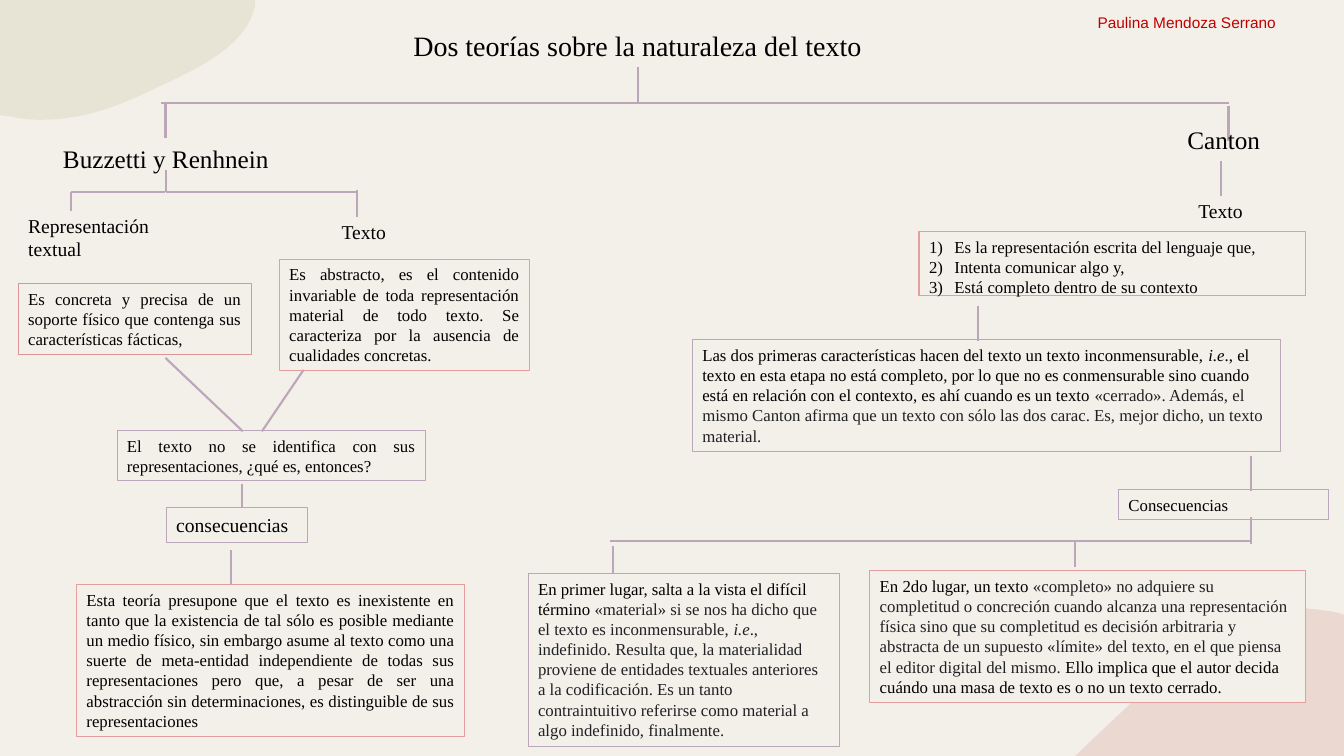
from dataclasses import dataclass
from typing import NamedTuple

from lxml import etree
from pptx import Presentation
from pptx import util as u
from pptx.dml import color as c
from pptx.enum import shapes as s
from pptx.enum import text as t
from pptx.oxml import ns
from pptx.shapes import autoshape as auto
from pptx.text import text as txt

COLORS = {
    "paper": "F3F0E9", "mauve": "BCA6B9", "rose": "E59E9E", "dusty": "D99696",
    "black": "000000", "ink": "202124", "red": "C00000",
    "blush": "E5C4BA", "olive": "DCD9C3",
}
LEFT, CENTER, JUSTIFY = t.PP_ALIGN.LEFT, t.PP_ALIGN.CENTER, t.PP_ALIGN.JUSTIFY
SERIF = "Times New Roman"


class Piece(NamedTuple):
    """A stretch of text in one style."""
    words: str
    color: str = "black"
    italic: bool = False


@dataclass
class Note:
    """A block of text, outlined when it has a border colour."""
    box: tuple[float, float, float, float]
    pieces: list[Piece]
    size: float = 12
    align: t.PP_ALIGN = LEFT
    border: str | None = None
    fill: str | None = None
    font: str = SERIF


class Blob(NamedTuple):
    """A soft corner outline; segments hold one point (line) or three (curve)."""
    color: str
    start: tuple[float, float]
    segments: list[list[tuple[float, float]]]


def rgb(name: str) -> c.RGBColor:
    """Look up a palette colour."""
    return c.RGBColor.from_string(COLORS[name])


def place(shape: auto.Shape, box: tuple[float, float, float, float]) -> None:
    """Move and size a shape, in centimetres."""
    shape.left, shape.top, shape.width, shape.height = map(u.Cm, box)


def outline(shape: auto.Shape, color: str) -> None:
    """Give a box its thin border."""
    shape.line.color.rgb = rgb(color)
    shape.line.width = u.Pt(0.75)


def write(paragraph: txt._Paragraph, note: Note, pieces: list[Piece]) -> None:
    """Fill a paragraph run by run."""
    paragraph.alignment = note.align
    for piece in pieces:
        run = paragraph.add_run()
        run.text = piece.words
        run.font.name, run.font.size = note.font, u.Pt(note.size)
        run.font.italic = piece.italic
        run.font.color.rgb = rgb(piece.color)


def fit(shape: auto.Shape) -> None:
    """Wrap the text, start it at the top and let the box grow with it."""
    frame = shape.text_frame
    frame.word_wrap = True
    frame.vertical_anchor = t.MSO_ANCHOR.TOP
    frame.auto_size = t.MSO_AUTO_SIZE.SHAPE_TO_FIT_TEXT


def draw_note(note: Note) -> None:
    """Draw a label or an outlined box."""
    spot = map(u.Cm, note.box)
    if note.border:
        shape = slide.shapes.add_shape(s.MSO_SHAPE.RECTANGLE, *spot)
        shape.shadow.inherit = False
        outline(shape, note.border)
        if note.fill:
            shape.fill.solid()
            shape.fill.fore_color.rgb = rgb(note.fill)
        else:
            shape.fill.background()
    else:
        shape = slide.shapes.add_textbox(*spot)
    fit(shape)
    write(shape.text_frame.paragraphs[0], note, note.pieces)


def draw_title(note: Note) -> None:
    """Put the heading in the title placeholder."""
    title = slide.shapes.title
    place(title, note.box)
    fit(title)
    write(title.text_frame.paragraphs[0], note, note.pieces)


def draw_list(note: Note) -> None:
    """Put one numbered item per piece in the body placeholder."""
    body = slide.placeholders[1]
    place(body, note.box)
    outline(body, note.border)
    fit(body)
    frame = body.text_frame
    for index, item in enumerate(note.pieces):
        paragraph = frame.add_paragraph() if index else frame.paragraphs[0]
        write(paragraph, note, [item])
        paragraph.space_before = u.Pt(0)
        props = paragraph._p.get_or_add_pPr()
        props.set("marL", str(u.Cm(0.64)))
        props.set("indent", str(u.Cm(-0.64)))
        etree.SubElement(props, ns.qn("a:buFont"), typeface="+mj-lt")
        etree.SubElement(props, ns.qn("a:buAutoNum"), type="arabicParenR")


def draw_link(x1: float, y1: float, x2: float, y2: float) -> None:
    """Draw one line of the map."""
    link = slide.shapes.add_connector(s.MSO_CONNECTOR.STRAIGHT, *map(u.Cm, (x1, y1, x2, y2)))
    link.line.color.rgb = rgb("mauve")
    link.line.width = u.Pt(1.5)
    etree.SubElement(link._element.spPr, ns.qn("a:effectLst"))


def curve(points: list[tuple[float, float]], steps: int = 16) -> list[tuple[float, float]]:
    """Sample a cubic curve after its first point."""
    sampled = []
    for k in range(1, steps + 1):
        v = k / steps
        weights = ((1 - v) ** 3, 3 * v * (1 - v) ** 2, 3 * v * v * (1 - v), v ** 3)
        sampled.append(tuple(sum(w * p[axis] for w, p in zip(weights, points)) for axis in (0, 1)))
    return sampled


def draw_blob(blob: Blob) -> None:
    """Draw a half-transparent corner shape."""
    outline_points = [blob.start]
    for segment in blob.segments:
        outline_points += curve([outline_points[-1], *segment]) if len(segment) == 3 else segment
    start, *rest = [(u.Cm(x), u.Cm(y)) for x, y in outline_points]
    builder = slide.shapes.build_freeform(*start, scale=1.0)
    builder.add_line_segments(rest, close=True)
    shape = builder.convert_to_shape()
    shape.shadow.inherit = False
    shape.line.fill.background()
    shape.fill.solid()
    shape.fill.fore_color.rgb = rgb(blob.color)
    tint = shape._element.spPr.find(ns.qn("a:solidFill"))[0]
    etree.SubElement(tint, ns.qn("a:alpha"), val="50000")


BLOBS = [
    Blob("blush", (32.72, 15.32), [
        [(33.05, 15.34), (33.38, 15.37), (33.71, 15.44)], [(33.87, 15.49)], [(33.87, 19.05)],
        [(27.1, 19.05)], [(27.13, 19.02)], [(27.99, 18.19), (28.88, 17.37), (29.69, 16.61)],
        [(30.25, 16.05), (30.84, 15.72), (31.42, 15.52)],
        [(31.85, 15.37), (32.28, 15.32), (32.72, 15.32)]]),
    Blob("olive", (0, 0), [
        [(6.43, 0)], [(6.43, 0.15)], [(6.22, 1.12), (5.08, 1.7), (4.01, 2.18)],
        [(3.12, 2.62), (2.18, 3.02), (1.04, 3.02)], [(0.79, 3.02), (0.56, 3), (0.33, 2.95)],
        [(0, 2.9)]]),
]
LINKS = [
    (16.08, 1.7, 16.08, 2.59), (4.06, 2.59, 16.08, 2.59), (15.8, 2.59, 30.96, 2.59),
    (30.96, 2.67, 30.96, 3.56), (4.17, 2.59, 4.17, 3.48), (4.19, 4.29, 4.19, 4.83),
    (9.02, 4.83, 4.19, 4.83), (4.17, 4.83, 1.78, 4.83), (1.78, 4.83, 1.78, 5.31),
    (8.99, 4.78, 8.99, 5.46), (7.65, 9.32, 6.6, 10.87), (6.12, 10.87, 4.17, 9.02),
    (6.1, 12.19, 6.1, 12.8), (5.82, 13.87, 5.82, 14.73), (30.78, 4.06, 30.78, 4.95),
    (24.64, 7.7, 24.64, 8.59), (31.52, 11.48, 31.52, 12.37), (31.52, 13.03, 31.52, 13.72),
    (31.52, 13.64, 15.37, 13.64), (15.44, 13.77, 15.44, 14.45), (27.1, 13.61, 27.1, 14.3),
]
TITLE = Note((9.63, 0.58, 12.88, 1.12), [Piece("Dos teorías sobre la naturaleza del texto")], 20, CENTER)
TRAITS = Note((23.16, 5.84, 9.73, 1.8), [
    Piece("Es la representación escrita del lenguaje que,"), Piece("Intenta comunicar algo y,"),
    Piece("Está completo dentro de su contexto")], border="rose")
NOTES = [
    Note((0.79, 3.48, 6.78, 1.02), [Piece("Buzzetti y Renhnein")], 18, CENTER),
    Note((27.81, 3.02, 6.06, 1.02), [Piece("Canton")], 18, CENTER),
    Note((0.46, 5.26, 4.04, 1.45), [Piece("Representación textual")], 14),
    Note((8.36, 5.41, 2.54, 0.86), [Piece("Texto")], 14),
    Note((29.95, 4.88, 3.9, 0.86), [Piece("Texto")], 14),
    Note((0.46, 7.14, 5.87, 1.8), [Piece("Es concreta y precisa de un soporte físico que contenga sus características fácticas,")], 12, JUSTIFY, "dusty"),
    Note((7.04, 6.53, 6.3, 2.82), [Piece("Es abstracto, es el contenido invariable de toda representación material de todo texto. Se caracteriza por la ausencia de cualidades concretas.")], 12, JUSTIFY, "rose"),
    Note((2.95, 10.85, 7.77, 1.27), [Piece("El texto no se identifica con sus representaciones, ¿qué es, entonces?")], 12, JUSTIFY, "mauve"),
    Note((4.19, 12.8, 3.56, 0.86), [Piece("consecuencias")], 14, LEFT, "mauve"),
    Note((1.93, 14.73, 9.78, 3.84), [Piece("Esta teoría presupone que el texto es inexistente en tanto que la existencia de tal sólo es posible mediante un medio físico, sin embargo asume al texto como una suerte de meta-entidad independiente de todas sus representaciones pero que, a pesar de ser una abstracción sin determinaciones, es distinguible de sus representaciones")], 12, JUSTIFY, "rose"),
    Note((17.45, 8.56, 14.81, 2.82), [
        Piece("Las dos primeras características hacen del texto un texto inconmensurable, "),
        Piece("i.e", italic=True),
        Piece("., el texto en esta etapa no está completo, por lo que no es conmensurable sino cuando está en relación con el contexto, es ahí cuando es un texto "),
        Piece("«cerrado». Además, el mismo Canton afirma que un texto con sólo las dos carac. Es, mejor dicho, un texto material.", "ink")], border="mauve"),
    Note((28.19, 12.34, 5.28, 0.76), [Piece("Consecuencias")], border="mauve"),
    Note((13.31, 14.45, 7.85, 4.37), [
        Piece("En primer lugar, salta a la vista el difícil término "),
        Piece("«material» si se nos ha dicho que el texto es inconmensurable, ", "ink"),
        Piece("i.e", "ink", True),
        Piece("., indefinido. Resulta que, la materialidad proviene de entidades textuales anteriores a la codificación. Es un tanto contraintuitivo referirse como material a algo indefinido, finalmente.", "ink")], border="mauve"),
    Note((21.92, 14.38, 10.97, 3.33), [
        Piece("En 2do lugar, un texto "),
        Piece("«completo» no adquiere su completitud o concreción cuando alcanza una representación física sino que su completitud es decisión arbitraria y abstracta de un supuesto «límite» del texto, en el que piensa el editor digital del mismo.", "ink"),
        Piece(" Ello implica que el autor decida cuándo una masa de texto es o no un texto cerrado.")], border="rose", fill="paper"),
    Note((27.41, 0.2, 6.4, 0.74), [Piece("Paulina Mendoza Serrano", "red")], 11, font="Arial"),
]

deck = Presentation()
deck.slide_width, deck.slide_height = u.Cm(33.87), u.Cm(19.05)
slide = deck.slides.add_slide(deck.slide_layouts[1])
slide.background.fill.solid()
slide.background.fill.fore_color.rgb = rgb("paper")

for corner in BLOBS:
    draw_blob(corner)
draw_title(TITLE)
draw_list(TRAITS)
for ends in LINKS:
    draw_link(*ends)
for entry in NOTES:
    draw_note(entry)
deck.save("out.pptx")
